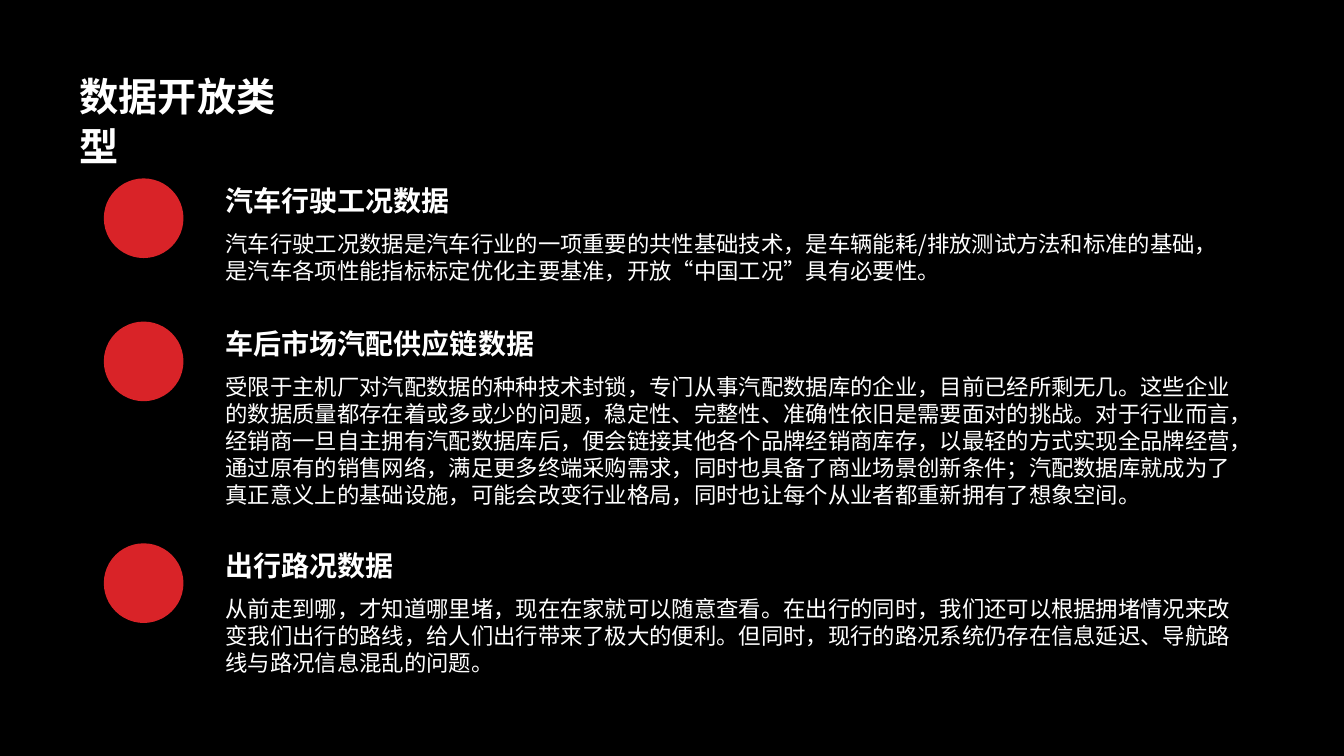
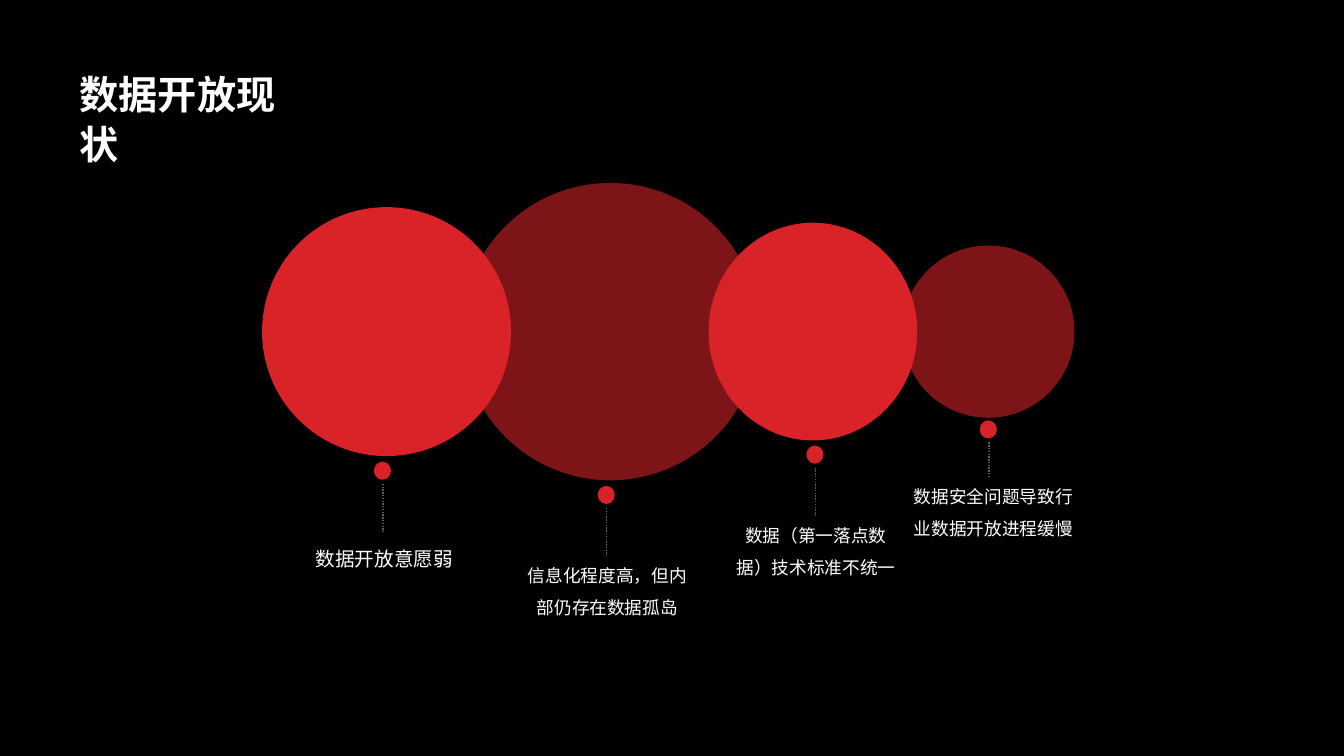
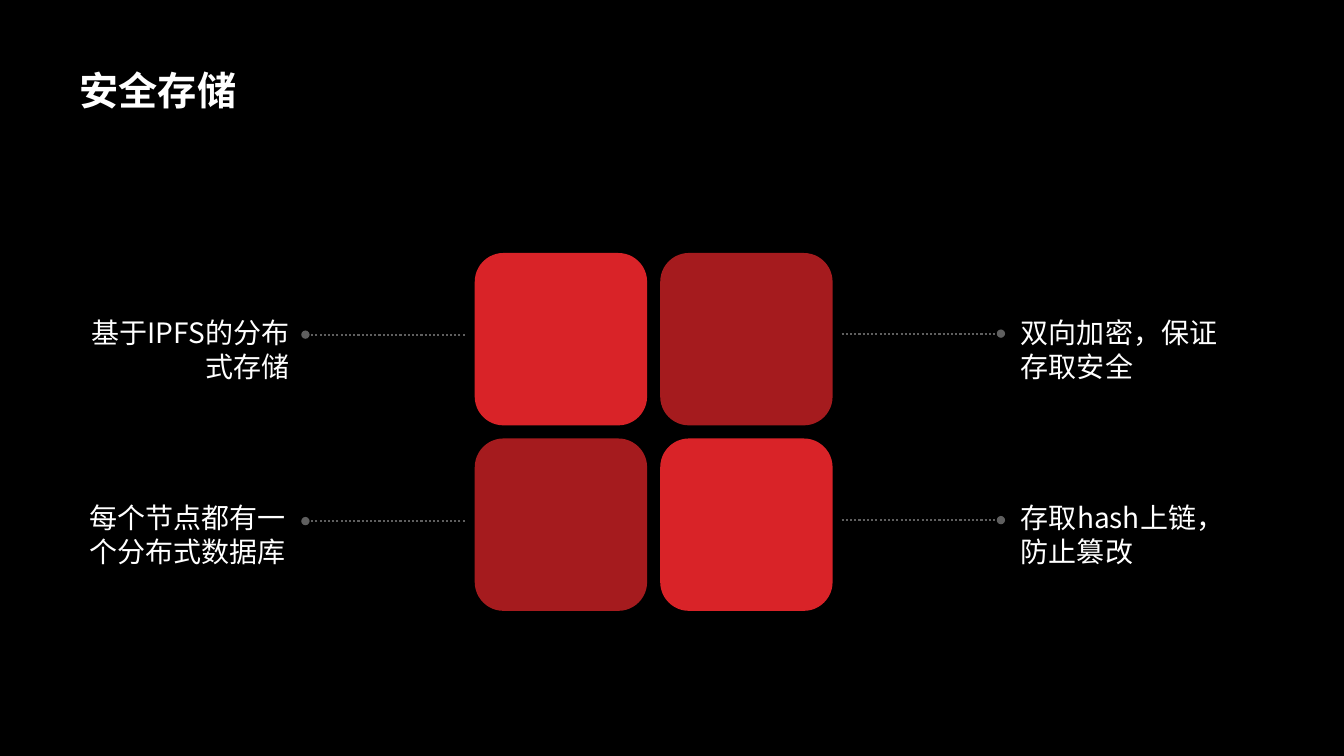
"""Build three dark slides on opening and safely storing car data."""
from lxml.etree import SubElement
from pptx import Presentation
from pptx.dml.color import RGBColor
from pptx.enum.dml import MSO_LINE
from pptx.enum.lang import MSO_LANGUAGE_ID as Language
from pptx.enum.shapes import MSO_CONNECTOR, MSO_SHAPE as Shape
from pptx.enum.text import MSO_ANCHOR as Anchor, MSO_AUTO_SIZE as AutoSize, PP_ALIGN as Align
from pptx.oxml.ns import qn
from pptx.util import Emu, Pt

EMU_PER_PX = 9144
FONT = "Noto Sans CJK SC"
BLACK, WHITE, GREY = "000000", "FFFFFF", "5F5F5F"
RED, DARK_RED = "D92328", "A51B1E"

TYPES_TITLE = ("数据开放类型", 68, 233, 81)
DATA_TYPES = [
    (177, 111, "汽车行驶工况数据",
     "汽车行驶工况数据是汽车行业的一项重要的共性基础技术，是车辆能耗/排放测试方法和标准的基础，"
     "是汽车各项性能指标标定优化主要基准，开放“中国工况”具有必要性。"),
    (319, 192, "车后市场汽配供应链数据",
     "受限于主机厂对汽配数据的种种技术封锁，专门从事汽配数据库的企业，目前已经所剩无几。"
     "这些企业的数据质量都存在着或多或少的问题，稳定性、完整性、准确性依旧是需要面对的挑战。"
     "对于行业而言，经销商一旦自主拥有汽配数据库后，便会链接其他各个品牌经销商库存，"
     "以最轻的方式实现全品牌经营，通过原有的销售网络，满足更多终端采购需求，"
     "同时也具备了商业场景创新条件；汽配数据库就成为了真正意义上的基础设施，"
     "可能会改变行业格局，同时也让每个从业者都重新拥有了想象空间。"),
    (539, 138, "出行路况数据",
     "从前走到哪，才知道哪里堵，现在在家就可以随意查看。在出行的同时，"
     "我们还可以根据拥堵情况来改变我们出行的路线，给人们出行带来了极大的便利。"
     "但同时，现行的路况系统仍存在信息延迟、导航路线与路况信息混乱的问题。"),
]

STATUS_TITLE = ("数据开放现状", 66, 233, 106)
CIRCLE_MIDDLE = 329
STATUSES = [
    dict(circle=(260, 247, 247), opacity=100, dot=(371, 458), stem=47,
         label=(288, 512), size=14, text="数据开放意愿弱"),
    dict(circle=(458, 295, 295), opacity=58, dot=(593, 482), stem=47,
         label=(509, 545), size=12.6, text="信息化程度高，但内部仍存在数据孤岛"),
    dict(circle=(703, 207, 216), opacity=100, dot=(800, 442), stem=47,
         label=(716, 505), size=12.6, text="数据（第一落点数据）技术标准不统一"),
    dict(circle=(895, 171, 171), opacity=58, dot=(972, 417), stem=34,
         label=(892, 467), size=12.6, text="数据安全问题导致行业数据开放进程缓慢"),
]

STORAGE_TITLE = ("安全存储", 62, 156, 55)
TILE, TILE_STEP, TILES_LEFT, TILES_TOP = 171, 184, 471, 251
STORAGE = [
    [(RED, 59, "基于IPFS的分布式存储"), (DARK_RED, 1003, "双向加密，保证存取安全")],
    [(DARK_RED, 55, "每个节点都有一个分布式数据库"), (RED, 1003, "存取hash上链，防止篡改")],
]
LEADERS = [(461, 303, 332), (835, 993, 331)]


def px(value):
    return Emu(round(value * EMU_PER_PX))


def color(value):
    return RGBColor.from_string(value)


def add_span(para, text, size, bold=False):
    span = para.add_run()
    span.text = text
    font = span.font
    font.size, font.bold, font.name = Pt(size), bold, FONT
    font.color.rgb = color(WHITE)
    font.language_id = Language.SIMPLIFIED_CHINESE
    SubElement(span._r.get_or_add_rPr(), qn("a:ea"), typeface=FONT)


def add_text(shapes, left, top, width, height):
    frame = shapes.add_textbox(px(left), px(top), px(width), px(height)).text_frame
    frame.word_wrap = True
    return frame


def add_figure(shapes, kind, left, top, width, height, fill=RED, opacity=100):
    figure = shapes.add_shape(kind, px(left), px(top), px(width), px(height))
    figure.shadow.inherit = False
    figure.fill.solid()
    figure.fill.fore_color.rgb = color(fill)
    figure.line.fill.background()
    if opacity < 100:
        tint = figure._element.spPr.find(qn("a:solidFill"))[0]
        SubElement(tint, qn("a:alpha"), val=str(opacity * 1000))


def add_dotted_line(shapes, start, end, weight, oval_end=False):
    connector = shapes.add_connector(
        MSO_CONNECTOR.STRAIGHT, *map(px, start), *map(px, end))
    line = connector.line
    line.color.rgb = color(GREY)
    line.width = Pt(weight)
    line.dash_style = MSO_LINE.ROUND_DOT
    if oval_end:
        SubElement(line._get_or_add_ln(), qn("a:tailEnd"), type="oval")
    SubElement(connector._element.spPr, qn("a:effectLst"))


def add_page(deck, text, top, width, height):
    page = deck.slides.add_slide(deck.slide_layouts[5])
    title = page.shapes.title
    title.left, title.top, title.width, title.height = map(px, (79, top, width, height))
    frame = title.text_frame
    frame.margin_left = frame.margin_top = frame.margin_right = 0
    frame.margin_bottom = px(5)
    frame.word_wrap = False
    frame.auto_size = AutoSize.SHAPE_TO_FIT_TEXT
    frame.vertical_anchor = Anchor.TOP
    para = frame.paragraphs[0]
    para.alignment = Align.LEFT
    para.space_before = Pt(0)
    para.line_spacing = Pt(36)
    add_span(para, text, 28, bold=True)
    return page.shapes


def build_types(deck):
    shapes = add_page(deck, *TYPES_TITLE)
    for top, height, heading, body in DATA_TYPES:
        group = shapes.add_group_shape().shapes
        add_figure(group, Shape.OVAL, 103, top, 79, 79)
        frame = add_text(group, 214, top, 1022, height)
        frame.auto_size = AutoSize.SHAPE_TO_FIT_TEXT
        add_span(frame.paragraphs[0], heading, 20, bold=True)
        para = frame.add_paragraph()
        para.space_before = Pt(9.6)
        add_span(para, body, 16)


def build_status(deck):
    shapes = add_page(deck, *STATUS_TITLE)
    for status in STATUSES:
        left, width, height = status["circle"]
        add_figure(shapes, Shape.OVAL, left, CIRCLE_MIDDLE - height / 2,
                   width, height, opacity=status["opacity"])
    for status in STATUSES:
        left, top = status["dot"]
        add_figure(shapes, Shape.OVAL, left, top, 17, 18)
        stem_x, stem_top = left + 9, top + 22
        add_dotted_line(shapes, (stem_x, stem_top),
                        (stem_x, stem_top + status["stem"]), 1)
        frame = add_text(shapes, *status["label"], 187, 73)
        frame.vertical_anchor = Anchor.MIDDLE
        para = frame.paragraphs[0]
        para.alignment = Align.CENTER
        para.line_spacing = 1.5
        add_span(para, status["text"], status["size"])


def build_storage(deck):
    shapes = add_page(deck, *STORAGE_TITLE)
    for row, cells in enumerate(STORAGE):
        drop = row * TILE_STEP
        for column, (fill, label_left, text) in enumerate(cells):
            add_figure(shapes, Shape.ROUNDED_RECTANGLE, TILES_LEFT + column * TILE_STEP,
                       TILES_TOP + drop, TILE, TILE, fill)
            start, end, height = LEADERS[column]
            leader_y = height + row * 185
            add_dotted_line(shapes, (start, leader_y), (end, leader_y), 1.5, oval_end=True)
            para = add_text(shapes, label_left, 308 + drop, 238, 103).paragraphs[0]
            para.alignment = Align.LEFT if column else Align.RIGHT
            add_span(para, text, 20)


def main():
    deck = Presentation()
    deck.slide_width, deck.slide_height = px(1333.33), px(750)
    backdrop = deck.slide_master.background.fill
    backdrop.solid()
    backdrop.fore_color.rgb = color(BLACK)
    build_types(deck)
    build_status(deck)
    build_storage(deck)
    deck.save("out.pptx")


if __name__ == "__main__":
    main()
